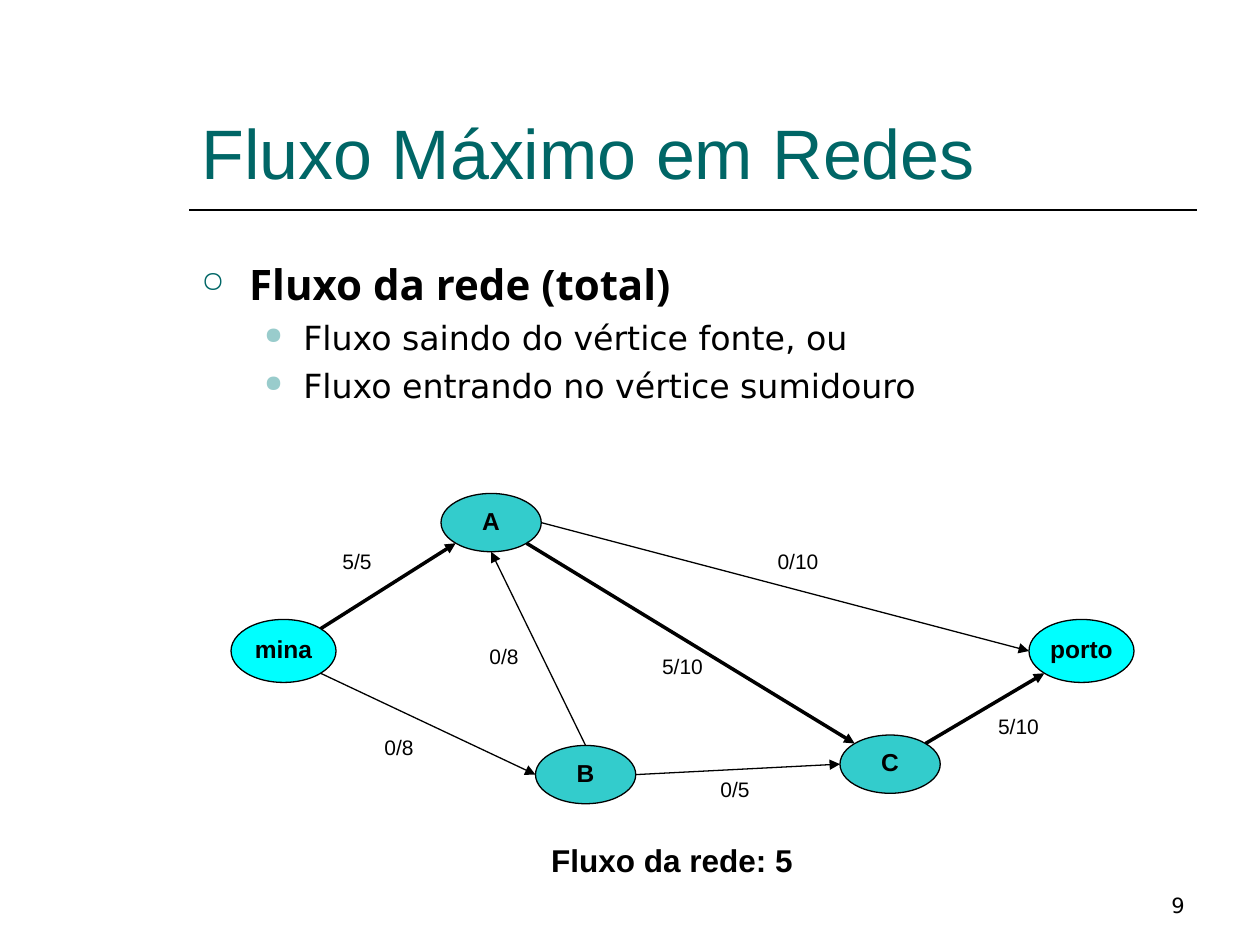
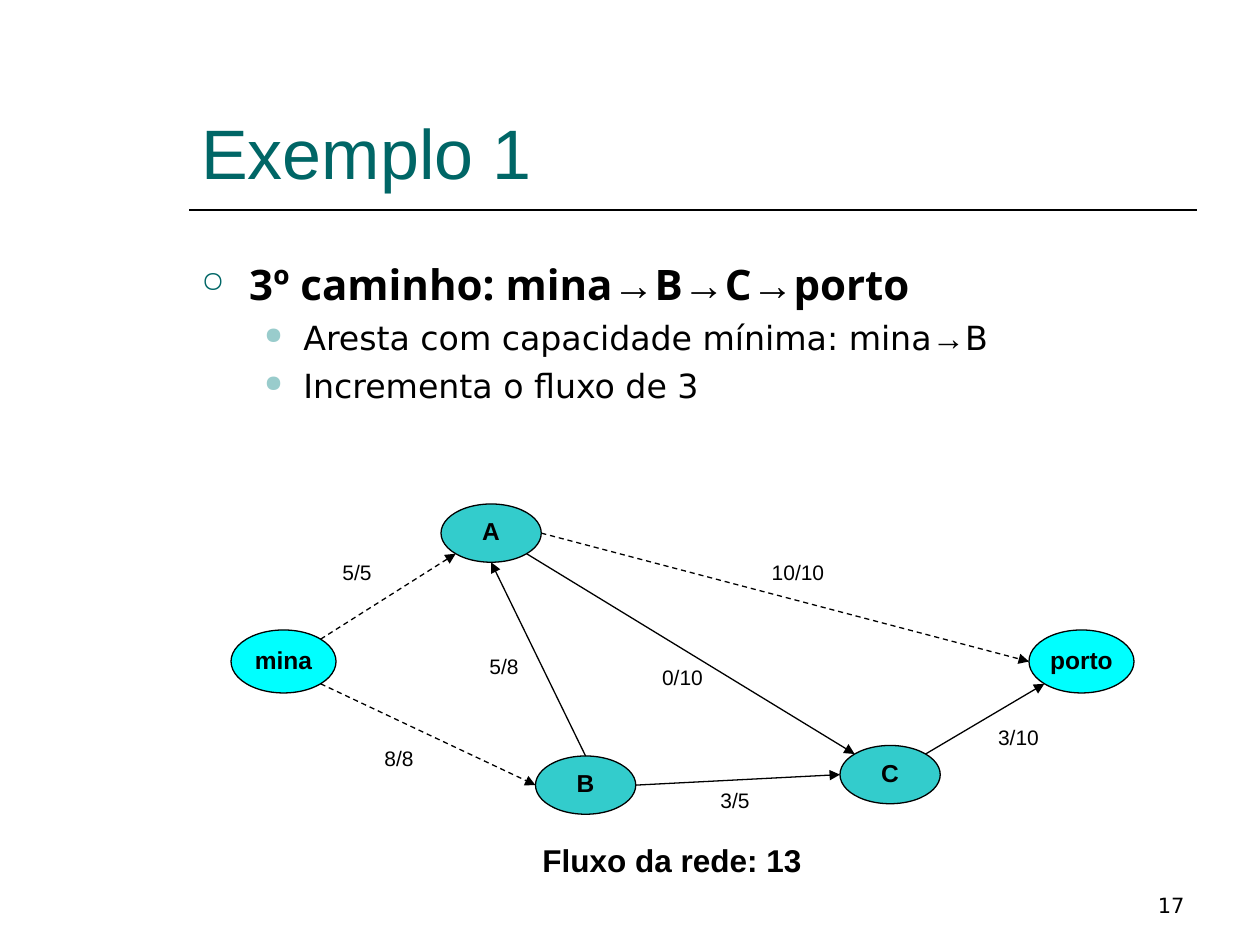
from dataclasses import dataclass
from itertools import groupby
from math import sqrt

from lxml import etree
from pptx import Presentation
from pptx import util as u
from pptx.dml.color import RGBColor
from pptx.enum import dml, shapes, text
from pptx.oxml.ns import qn

COLS, ROWS = 120, 90
WIDE, HIGH = u.Inches(10), u.Inches(7.5)
INK, TEAL, MIST, CYAN, AQUA = "000000", "006666", "99CCCC", "00FFFF", "33CCCC"
SANS, HEAD, BODY, ARROW = "Arial", "Noto Sans", "DejaVu Sans", "Times New Roman"
ALIGN, ANCHOR = text.PP_ALIGN, text.MSO_ANCHOR
DIAG = sqrt(2) / 4
PORTS = {
    "n": (0, -0.5), "s": (0, 0.5), "w": (-0.5, 0), "e": (0.5, 0),
    "nw": (-DIAG, -DIAG), "ne": (DIAG, -DIAG),
    "sw": (-DIAG, DIAG), "se": (DIAG, DIAG),
}


@dataclass(frozen=True)
class Box:
    col: float
    row: float
    wide: float
    high: float

    def down(self, rows: float) -> "Box":
        return Box(self.col, self.row + rows, self.wide, self.high)

    def port(self, side: str) -> tuple[float, float]:
        dx, dy = PORTS[side]
        return (self.col + self.wide * (0.5 + dx),
                self.row + self.high * (0.5 + dy))

    def place(self) -> tuple[int, int, int, int]:
        return across(self.col), along(self.row), across(self.wide), along(self.high)


@dataclass(frozen=True)
class Style:
    size: float
    font: str = SANS
    tint: str = INK
    bold: bool = False
    align: ALIGN = ALIGN.LEFT
    before: float = 0
    pitch: float = 1


@dataclass(frozen=True)
class Bullet:
    mark: str
    tint: str
    left: float
    hang: float
    level: int


@dataclass(frozen=True)
class Pen:
    width: float = 0.75
    dash: bool = False


@dataclass(frozen=True)
class Edge:
    start: str
    leave: str
    end: str
    enter: str
    col: float
    row: float


@dataclass(frozen=True)
class Page:
    title: str
    head: str
    points: tuple[str, ...]
    tall: float
    drop: float
    flows: tuple[tuple[str, Pen], ...]
    total: int
    number: int


TITLE = Style(40, tint=TEAL)
TOPIC = Style(24, HEAD, bold=True, before=6)
POINT = Style(19, BODY, before=4.8)
NAME = Style(14, bold=True, align=ALIGN.CENTER, pitch=0.87)
FLOW = Style(12, align=ALIGN.CENTER, before=7.5, pitch=0.87)
TOTAL = Style(18, bold=True, align=ALIGN.CENTER, before=11.2, pitch=0.87)
FOOT = Style(12, BODY, align=ALIGN.RIGHT)
RING = Bullet("○", TEAL, 0.38, 0.38, 0)
DOT = Bullet("●", MIST, 0.81, 0.31, 1)

NODES = {
    "mina": Box(22, 59, 10, 6),
    "porto": Box(98, 59, 10, 6),
    "A": Box(42, 47, 9.55, 5.55),
    "B": Box(51, 71, 9.55, 5.55),
    "C": Box(80, 70, 9.55, 5.55),
}
EDGES = (
    Edge("mina", "se", "B", "w", 34, 69.7),
    Edge("B", "n", "A", "s", 44, 61),
    Edge("mina", "ne", "A", "sw", 30, 52),
    Edge("B", "e", "C", "w", 66, 73.7),
    Edge("C", "ne", "porto", "sw", 93, 67.7),
    Edge("A", "se", "C", "nw", 61, 62),
    Edge("A", "e", "porto", "w", 72, 52),
)
THIN, BOLD, DASH = Pen(), Pen(2), Pen(dash=True)
PAGES = (
    Page("Fluxo Máximo em Redes", "Fluxo da rede (total)",
         ("Fluxo saindo do vértice fonte, ou", "Fluxo entrando no vértice sumidouro"),
         18, 0,
         (("0/8", THIN), ("0/8", THIN), ("5/5", BOLD), ("0/5", THIN),
          ("5/10", BOLD), ("5/10", BOLD), ("0/10", THIN)),
         5, 9),
    Page("Exemplo 1", "3º caminho: mina→B→C→porto",
         ("Aresta com capacidade mínima: mina→B", "Incrementa o fluxo de 3"),
         26, 1,
         (("8/8", DASH), ("5/8", THIN), ("5/5", DASH), ("3/5", THIN),
          ("3/10", THIN), ("0/10", THIN), ("10/10", DASH)),
         13, 17),
)


def across(cols: float) -> int:
    return round(WIDE * cols / COLS)


def along(rows: float) -> int:
    return round(HIGH * rows / ROWS)


def paint(code: str) -> RGBColor:
    return RGBColor.from_string(code)


def write(para, words: str, style: Style) -> None:
    para.alignment = style.align
    para.line_spacing = style.pitch
    para.space_before = u.Pt(style.before)
    for arrow, chars in groupby(words, lambda char: char == "→"):
        run = para.add_run()
        run.text = "".join(chars)
        run.font.name = ARROW if arrow else style.font
        run.font.size = u.Pt(style.size)
        run.font.bold = style.bold
        run.font.color.rgb = paint(style.tint)


def mark(para, bullet: Bullet) -> None:
    para.level = bullet.level
    props = para._p.get_or_add_pPr()
    props.set("marL", str(u.Inches(bullet.left)))
    props.set("indent", str(-u.Inches(bullet.hang)))
    tint = etree.SubElement(props, qn("a:buClr"))
    etree.SubElement(tint, qn("a:srgbClr"), val=bullet.tint)
    etree.SubElement(props, qn("a:buSzPct"), val="70000")
    etree.SubElement(props, qn("a:buChar"), char=bullet.mark)


def frame(slide, box: Box, anchor: ANCHOR = ANCHOR.TOP, grow: bool = False):
    area = slide.shapes.add_textbox(*box.place()).text_frame
    area.word_wrap = True
    area.vertical_anchor = anchor
    if grow:
        area.auto_size = text.MSO_AUTO_SIZE.SHAPE_TO_FIT_TEXT
    return area


def label(slide, box: Box, words: str, style: Style,
          anchor: ANCHOR = ANCHOR.TOP, grow: bool = False) -> None:
    write(frame(slide, box, anchor, grow).paragraphs[0], words, style)


def link(slide, start: tuple[float, float], end: tuple[float, float],
         pen: Pen, arrow: bool = True) -> None:
    line = slide.shapes.add_connector(
        shapes.MSO_CONNECTOR.STRAIGHT,
        across(start[0]), along(start[1]), across(end[0]), along(end[1]))
    line.line.width = u.Pt(pen.width)
    line.line.color.rgb = paint(INK)
    if pen.dash:
        line.line.dash_style = dml.MSO_LINE.DASH
    props = line._element.spPr
    if arrow:
        etree.SubElement(props.find(qn("a:ln")), qn("a:tailEnd"), type="triangle")
    etree.SubElement(props, qn("a:effectLst"))


def node(slide, name: str, box: Box) -> None:
    oval = slide.shapes.add_shape(shapes.MSO_SHAPE.OVAL, *box.place())
    oval.shadow.inherit = False
    oval.fill.solid()
    oval.fill.fore_color.rgb = paint(CYAN if name in ("mina", "porto") else AQUA)
    oval.line.color.rgb = paint(INK)
    oval.line.width = u.Pt(0.75)
    oval.text_frame.word_wrap = False
    oval.text_frame.vertical_anchor = ANCHOR.MIDDLE
    write(oval.text_frame.paragraphs[0], name, NAME)


def graph(slide, page: Page) -> None:
    spots = {name: box.down(page.drop) for name, box in NODES.items()}
    for name, box in spots.items():
        node(slide, name, box)
    for edge, (flow, pen) in zip(EDGES, page.flows):
        link(slide, spots[edge.start].port(edge.leave),
             spots[edge.end].port(edge.enter), pen)
        spot = Box(edge.col, edge.row, 8, 3.35).down(page.drop)
        label(slide, spot, flow, FLOW, grow=True)


def outline(slide, page: Page) -> None:
    area = frame(slide, Box(18, 24, 96, page.tall))
    first = area.paragraphs[0]
    write(first, page.head, TOPIC)
    mark(first, RING)
    for point in page.points:
        para = area.add_paragraph()
        write(para, point, POINT)
        mark(para, DOT)


def draw(deck, page: Page) -> None:
    slide = deck.slides.add_slide(deck.slide_layouts[6])
    link(slide, (18, 20), (114, 20), Pen(1), arrow=False)
    label(slide, Box(18, 4, 96, 15), page.title, TITLE, ANCHOR.BOTTOM)
    outline(slide, page)
    graph(slide, page)
    label(slide, Box(42, 80, 44, 4.35), f"Fluxo da rede: {page.total}", TOTAL, grow=True)
    label(slide, Box(86, 82, 28, 6), str(page.number), FOOT, ANCHOR.BOTTOM)


def main() -> None:
    deck = Presentation()
    deck.slide_width, deck.slide_height = WIDE, HIGH
    for page in PAGES:
        draw(deck, page)
    deck.save("out.pptx")


if __name__ == "__main__":
    main()
